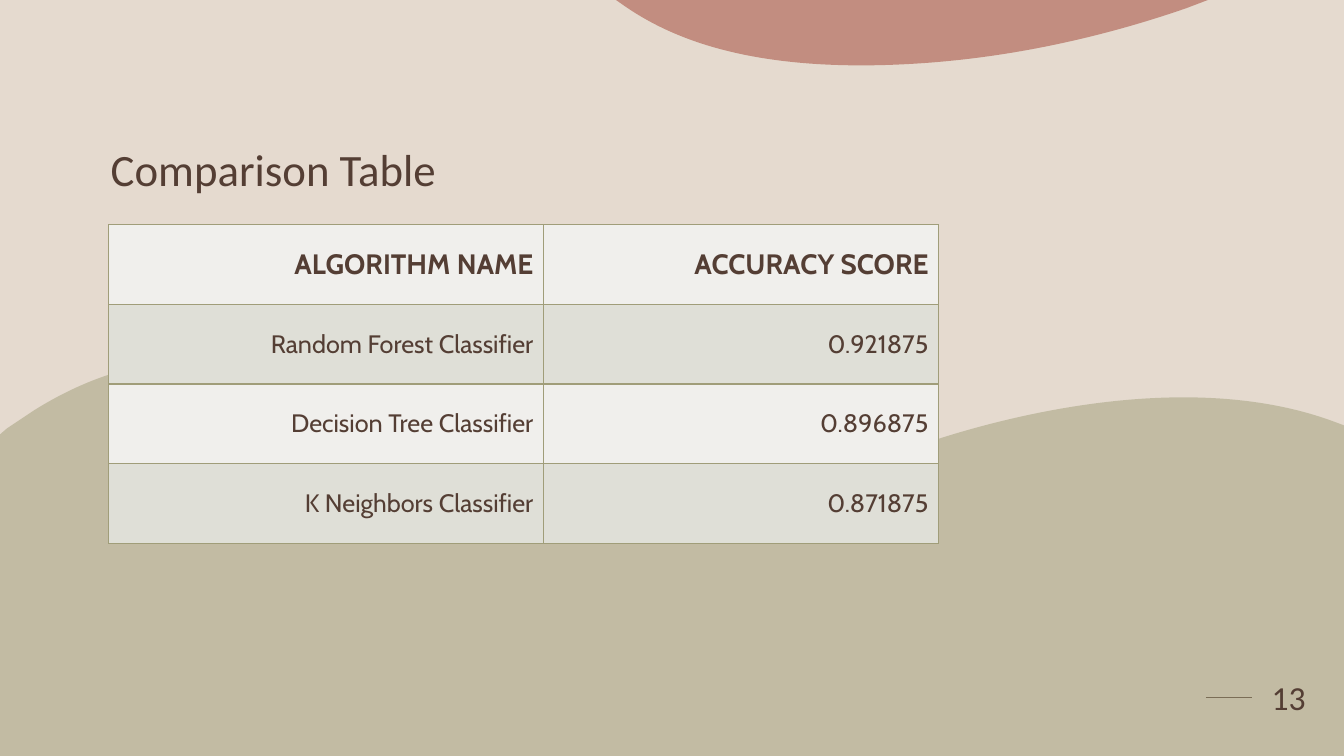
from lxml.etree import SubElement
from pptx import Presentation
from pptx.dml.color import RGBColor
from pptx.enum.shapes import MSO_CONNECTOR
from pptx.enum.text import MSO_ANCHOR, PP_ALIGN
from pptx.oxml import parse_xml
from pptx.oxml.ns import nsdecls, qn
from pptx.util import Inches, Pt

COLORS = {
    "background": "E5DACF", "text": "543E34", "hill": "A09D79", "cloud": "AC5B4C",
    "border": "A09D79", "light row": "F0EFEC", "dark row": "DFDFD7",
}
TITLE = "Comparison Table"
PAGE_NUMBER = "13"
TABLE_ROWS = [
    ("ALGORITHM NAME", "ACCURACY SCORE"),
    ("Random Forest Classifier", "0.921875"),
    ("Decision Tree Classifier", "0.896875"),
    ("K Neighbors Classifier", "0.871875"),
]
COLUMN_WIDTHS = (4.31, 3.92)
ROW_HEIGHT = 0.79

# Outlines: a start point, then lines (x, y) or curves (control, control, end)
HILL = [
    (2.02, 3.58),
    (2.36, 3.59, 2.7, 3.66, 3.04, 3.79),
    (3.34, 3.9, 3.6, 4.08, 3.86, 4.25),
    (4.43, 4.62, 5.05, 4.9, 5.77, 5),
    (6.37, 5.09, 6.98, 5.03, 7.59, 4.88),
    (8.27, 4.72, 8.67, 4.57, 9.08, 4.43),
    (9.48, 4.29, 11.61, 3.57, 13.25, 4.19),
    (13.33, 4.22), (13.33, 7.5), (0, 7.5), (0, 4.31), (0.07, 4.25),
    (0.16, 4.19, 0.25, 4.13, 0.34, 4.07),
    (0.9, 3.72, 1.46, 3.56, 2.02, 3.58),
]
CLOUD = [
    (6.11, 0), (11.98, 0), (11.77, 0.08),
    (10.56, 0.5, 9.61, 0.59, 9.24, 0.62),
    (7.56, 0.75, 6.71, 0.41, 6.21, 0.07),
]


def rgb(name):
    return RGBColor.from_string(COLORS[name])


def bend_segments(blob, segments):
    """Replace the straight sides that have control points by Bézier curves."""
    sides = list(blob._element.spPr.iter(qn("a:lnTo")))
    for side, segment in zip(sides, segments[1:]):
        if len(segment) == 2:
            continue
        side.tag = qn("a:cubicBezTo")
        for index in (0, 2):
            x, y = segment[index:index + 2]
            control = SubElement(side, qn("a:pt"), x=str(Inches(x) - blob.left),
                                 y=str(Inches(y) - blob.top))
            side.insert(index // 2, control)


def add_blob(page, segments, color, opacity):
    corners = [tuple(map(Inches, segment[-2:])) for segment in segments]
    builder = page.shapes.build_freeform(*corners[0], scale=1.0)
    builder.add_line_segments(corners[1:], close=False)
    blob = builder.convert_to_shape()
    outline = next(blob._element.spPr.iter(qn("a:moveTo"))).getparent()
    if outline.find(qn("a:close")) is None:
        SubElement(outline, qn("a:close"))
    bend_segments(blob, segments)
    blob.shadow.inherit = False
    blob.line.fill.background()
    blob.fill.solid()
    blob.fill.fore_color.rgb = rgb(color)
    fill_color = blob.fill._xPr.find(qn("a:solidFill"))[0]
    SubElement(fill_color, qn("a:alpha"), val=str(opacity * 1000))


def write(frame, text, size, font, align, anchor, bold=False):
    frame.word_wrap = True
    frame.vertical_anchor = anchor
    para = frame.paragraphs[0]
    para.alignment = align
    span = para.add_run()
    span.text = text
    span.font.size = Pt(size)
    span.font.name = font
    span.font.bold = bold
    span.font.color.rgb = rgb("text")
    return para


def add_text(page, bounds, *style):
    box = page.shapes.add_textbox(*map(Inches, bounds))
    return write(box.text_frame, *style)


def add_borders(cell):
    properties = cell._tc.get_or_add_tcPr()
    for index, side in enumerate(("lnL", "lnR", "lnT", "lnB")):
        properties.insert(index, parse_xml(
            f'<a:{side} {nsdecls("a")} w="{Pt(1)}"><a:solidFill>'
            f'<a:srgbClr val="{COLORS["border"]}"/></a:solidFill></a:{side}>'))


def add_score_table(page):
    table = page.shapes.add_table(
        len(TABLE_ROWS), len(COLUMN_WIDTHS), Inches(1.08), Inches(2.23),
        Inches(sum(COLUMN_WIDTHS)), Inches(ROW_HEIGHT * len(TABLE_ROWS))).table
    for column, width in zip(table.columns, COLUMN_WIDTHS):
        column.width = Inches(width)
    for row, texts in enumerate(TABLE_ROWS):
        table.rows[row].height = Inches(ROW_HEIGHT)
        header = row == 0
        for column, text in enumerate(texts):
            cell = table.cell(row, column)
            cell.fill.solid()
            cell.fill.fore_color.rgb = rgb("dark row" if row % 2 else "light row")
            cell.vertical_anchor = MSO_ANCHOR.MIDDLE
            write(cell.text_frame, text, 20 if header else 18, "Cabin",
                  PP_ALIGN.RIGHT, None, header)
            add_borders(cell)


def add_number_rule(page):
    y = Inches(6.92)
    rule = page.shapes.add_connector(
        MSO_CONNECTOR.STRAIGHT, Inches(11.96), y, Inches(12.42), y)
    rule.line.color.rgb = rgb("text")
    rule.line.width = Pt(1.25)
    SubElement(rule._element.spPr, qn("a:effectLst"))


def main():
    deck = Presentation()
    deck.slide_width, deck.slide_height = Inches(13.33), Inches(7.5)
    page = deck.slides.add_slide(deck.slide_layouts[6])
    page.background.fill.solid()
    page.background.fill.fore_color.rgb = rgb("background")

    add_number_rule(page)
    add_blob(page, HILL, "hill", 50)
    add_blob(page, CLOUD, "cloud", 60)
    title = add_text(page, (1, 1, 11.33, 1), TITLE, 32, "Calibri",
                     PP_ALIGN.LEFT, MSO_ANCHOR.BOTTOM)
    title.line_spacing = 0.9
    add_score_table(page)
    add_text(page, (12.42, 6.43, 0.72, 0.98), PAGE_NUMBER, 24, "Calibri",
             PP_ALIGN.CENTER, MSO_ANCHOR.MIDDLE)
    deck.save("out.pptx")


if __name__ == "__main__":
    main()
